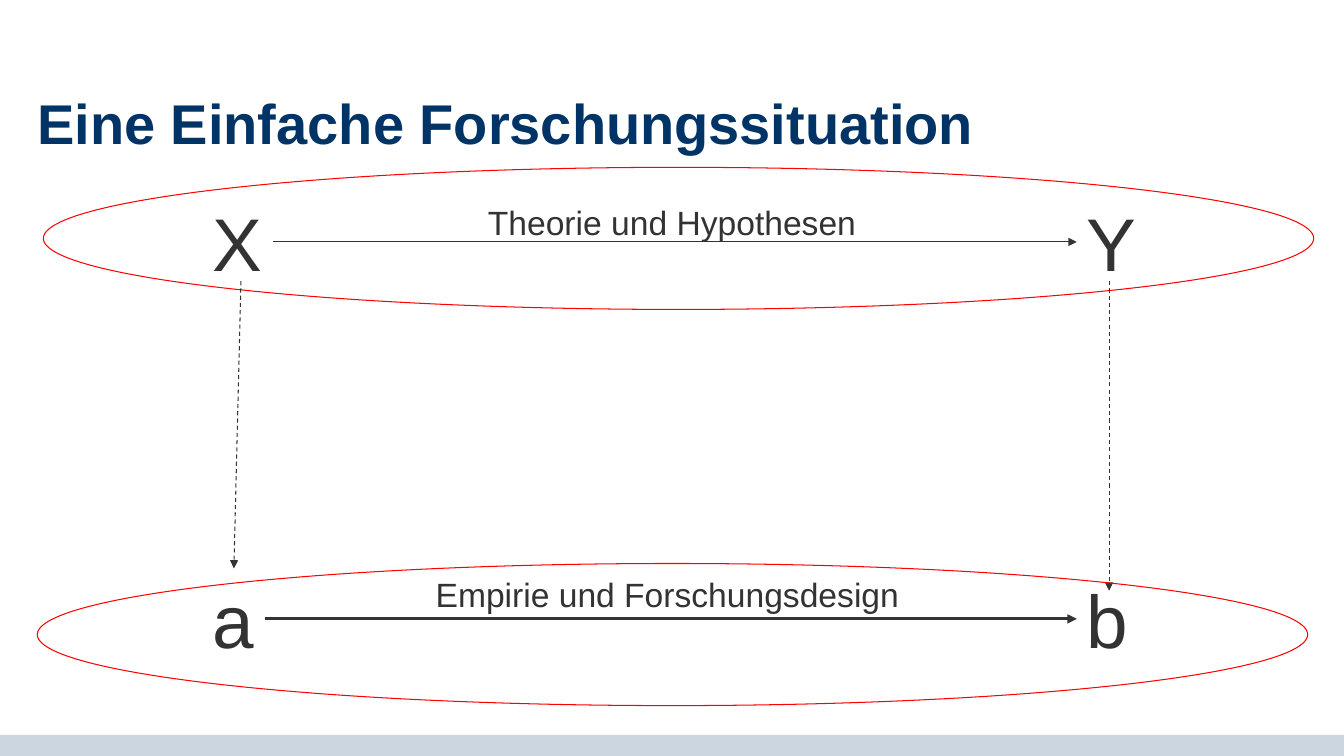
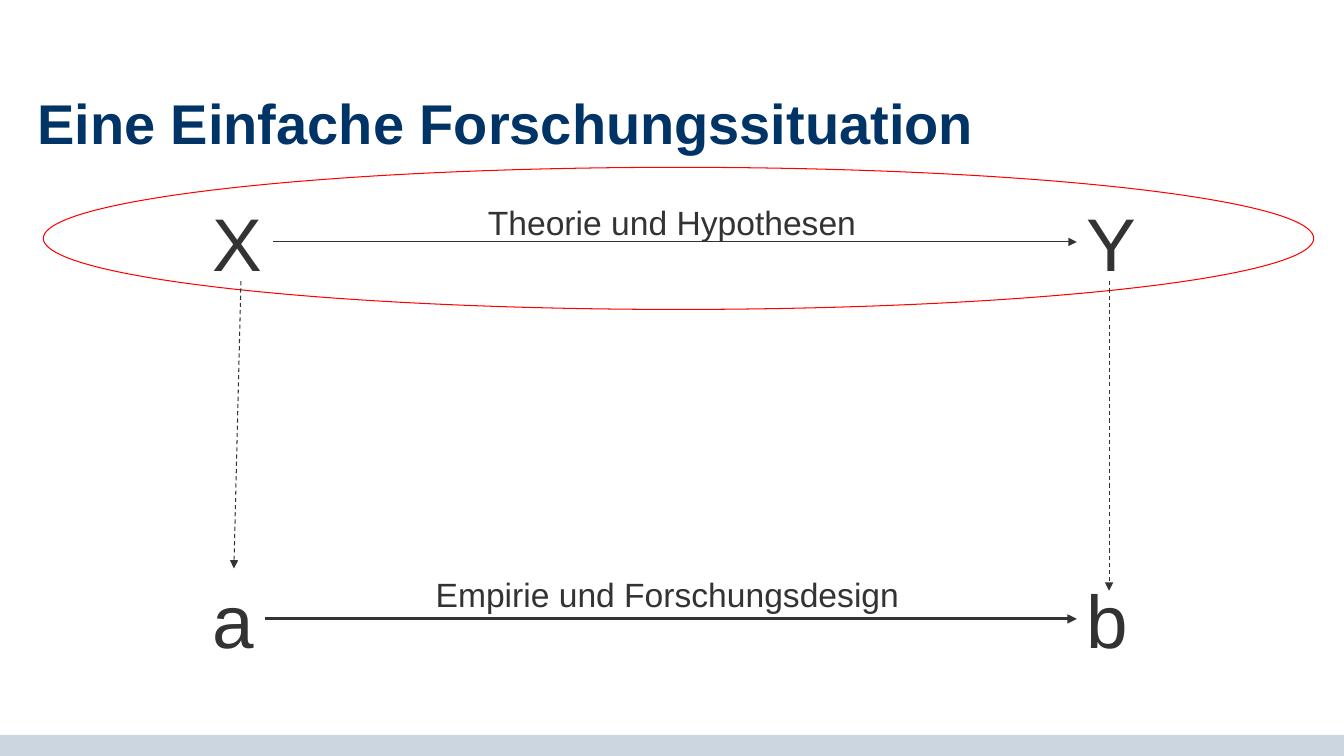
from lxml import etree
from pptx import Presentation
from pptx.dml.color import RGBColor
from pptx.enum.dml import MSO_LINE
from pptx.enum.shapes import MSO_CONNECTOR, MSO_SHAPE
from pptx.enum.text import MSO_ANCHOR, MSO_AUTO_SIZE, PP_ALIGN
from pptx.oxml.ns import qn
from pptx.util import Inches, Pt

STRAIGHT = MSO_CONNECTOR.STRAIGHT
DASH = MSO_LINE.DASH
OVAL, RECT = MSO_SHAPE.OVAL, MSO_SHAPE.RECTANGLE
LEFT, CENTER = PP_ALIGN.LEFT, PP_ALIGN.CENTER
MIDDLE = MSO_ANCHOR.MIDDLE
NO_FIT, GROW = MSO_AUTO_SIZE.NONE, MSO_AUTO_SIZE.SHAPE_TO_FIT_TEXT

FONT = "Arial"
NAVY, TEXT, RED, BAND = "003366", "333333", "FF0000", "CCD6E0"
SLIDE_W, SLIDE_H = 13.33, 7.5
BAND_H = 0.21
MARGIN, CONTENT_W = 0.37, 12.6
LEFT_X, RIGHT_X = 2.01, 10.68
TOP_Y, BOTTOM_Y = 1.9, 5.64
TOP, LEFT_SIDE, RIGHT_SIDE = 0, 1, 3


def rgb(color):
    return RGBColor.from_string(color)


def box(left, top, width, height):
    return [Inches(v) for v in (left, top, width, height)]


def format_text(tf, text, size, color, align, bold=False):
    tf.text = text
    p = tf.paragraphs[0]
    p.alignment = align
    font = p.runs[0].font
    font.name, font.size, font.bold = FONT, Pt(size), bold
    font.color.rgb = rgb(color)
    return p


def add_band_to_master(prs, s):
    band = s.shapes.add_shape(RECT, *box(0, SLIDE_H - BAND_H, SLIDE_W, BAND_H))
    band.shadow.inherit = False
    band.fill.solid()
    band.fill.fore_color.rgb = rgb(BAND)
    band.line.fill.background()
    band.element.nvSpPr.cNvPr.set("id", "20")
    prs.slide_master.shapes.element.insert(2, band.element)


def add_title(s, text):
    title = s.shapes.title
    title.left, title.top, title.width, title.height = box(MARGIN, 1.03, CONTENT_W, 0.47)
    tf = title.text_frame
    tf.margin_left = tf.margin_right = tf.margin_top = tf.margin_bottom = 0
    tf.vertical_anchor = MIDDLE
    tf.auto_size = NO_FIT
    tf.word_wrap = True
    format_text(tf, text, 40, NAVY, LEFT, bold=True).line_spacing = 0.85


def add_text(s, text, left, top, width, height, size, align=LEFT, wrap=True):
    tb = s.shapes.add_textbox(*box(left, top, width, height))
    tf = tb.text_frame
    tf.word_wrap = wrap
    tf.auto_size = GROW
    format_text(tf, text, size, TEXT, align)
    return tb


def add_variable(s, text, left, top, width, wrap=True):
    return add_text(s, text, left, top, width, 1, 53.3, wrap=wrap)


def add_label(s, text, top):
    add_text(s, text, 3.13, top, 7.07, 0.5, 24, CENTER)


def add_ellipse(s, left, top):
    ellipse = s.shapes.add_shape(OVAL, *box(left, top, CONTENT_W, 1.41))
    ellipse.shadow.inherit = False
    ellipse.fill.background()
    ellipse.line.color.rgb = rgb(RED)
    ellipse.line.width = Pt(0.75)


def add_arrow(s, x1, y1, x2, y2, width=0.75, dash=None):
    arrow = s.shapes.add_connector(STRAIGHT, *box(x1, y1, x2, y2))
    arrow.line.color.rgb = rgb(TEXT)
    arrow.line.width = Pt(width)
    if dash:
        arrow.line.dash_style = dash
    etree.SubElement(arrow.line._get_or_add_ln(), qn("a:tailEnd"), type="triangle")
    etree.SubElement(arrow.element.spPr, qn("a:effectLst"))
    return arrow


def add_relation(s, names, top, left_w, line_w):
    cause = add_variable(s, names[0], LEFT_X, top, left_w, wrap=False)
    effect = add_variable(s, names[1], RIGHT_X, top, 0.64)
    y = top + 0.5
    arrow = add_arrow(s, LEFT_X + left_w, y, RIGHT_X, y, line_w)
    arrow.begin_connect(cause, RIGHT_SIDE)
    arrow.end_connect(effect, LEFT_SIDE)
    return cause


def add_research_slide(s, mark_empirics):
    add_title(s, "Eine Einfache Forschungssituation")
    add_ellipse(s, 0.43, 1.66)
    add_label(s, "Theorie und Hypothesen", 1.95)
    add_relation(s, "XY", TOP_Y, 0.7, 0.75)
    indicator = add_relation(s, "ab", BOTTOM_Y, 0.62, 2.25)
    add_arrow(s, 2.39, 2.79, 2.32, BOTTOM_Y, dash=DASH).end_connect(indicator, TOP)
    add_arrow(s, 11, 2.79, 11, 5.86, dash=DASH)
    if mark_empirics:
        add_ellipse(s, MARGIN, 5.59)
    add_label(s, "Empirie und Forschungsdesign ", BOTTOM_Y)


def main():
    prs = Presentation()
    prs.slide_width, prs.slide_height = Inches(SLIDE_W), Inches(SLIDE_H)
    layout = prs.slide_layouts[5]
    slides = [prs.slides.add_slide(layout) for _ in range(2)]
    add_band_to_master(prs, slides[0])
    for s, mark_empirics in zip(slides, (True, False)):
        add_research_slide(s, mark_empirics)
    prs.save("out.pptx")


if __name__ == "__main__":
    main()
